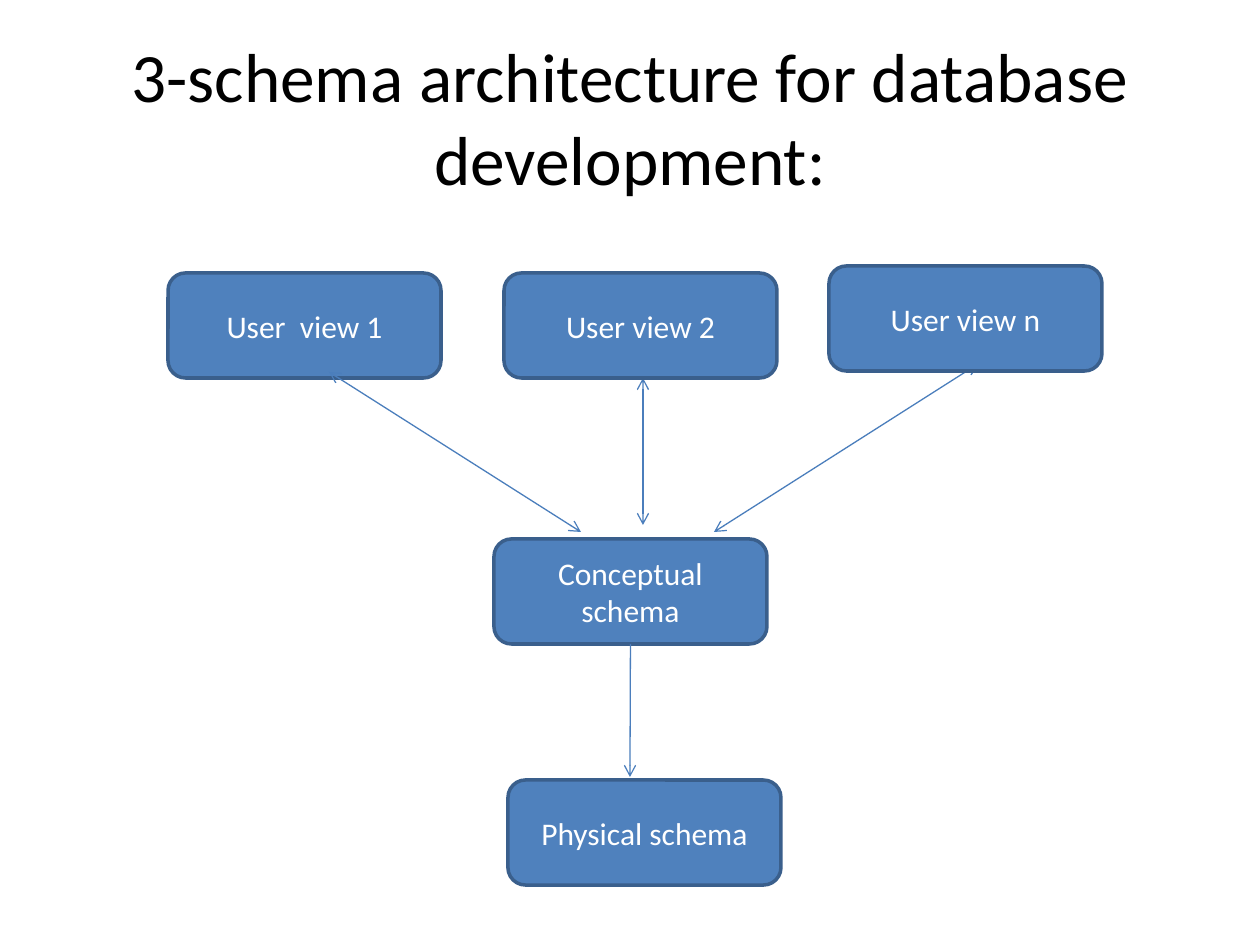
from dataclasses import dataclass

from lxml import etree
from pptx import Presentation
from pptx.dml.color import RGBColor
from pptx.enum.shapes import MSO_CONNECTOR, MSO_SHAPE
from pptx.enum.text import MSO_ANCHOR, PP_ALIGN
from pptx.oxml.ns import qn
from pptx.util import Pt

STRAIGHT = MSO_CONNECTOR.STRAIGHT
ROUNDED = MSO_SHAPE.ROUNDED_RECTANGLE
MIDDLE = MSO_ANCHOR.MIDDLE
CENTER = PP_ALIGN.CENTER
BOTTOM_SIDE = 2
TITLE_ONLY = 5

EMU_PER_PX = 914400 // 126
BOX_WIDTH, BOX_HEIGHT = 273, 105


@dataclass(frozen=True)
class Theme:
    font: str = "Calibri"
    title_size: float = 39.6
    box_size: float = 18
    title_color: str = "000000"
    box_text: str = "FFFFFF"
    box_fill: str = "4F81BD"
    box_line: str = "3A5F8C"
    arrow: str = "4B7EBC"
    box_line_width: float = 2
    arrow_width: float = 0.75


THEME = Theme()


def px(*lengths):
    return [length * EMU_PER_PX for length in lengths]


def color(value):
    return RGBColor.from_string(value)


def set_text(shape, text, size, text_color):
    frame = shape.text_frame
    frame.text = text
    frame.word_wrap = True
    frame.vertical_anchor = MIDDLE
    para = frame.paragraphs[0]
    para.alignment = CENTER
    font = para.runs[0].font
    font.name = THEME.font
    font.size = Pt(size)
    font.color.rgb = color(text_color)


def add_title(slide, text):
    title = slide.shapes.title
    title.left, title.top, title.width, title.height = px(63, 38, 1134, 157)
    set_text(title, text, THEME.title_size, THEME.title_color)


def add_box(slide, text, left, top):
    box = slide.shapes.add_shape(ROUNDED, *px(left, top, BOX_WIDTH, BOX_HEIGHT))
    box.shadow.inherit = False
    box.fill.solid()
    box.fill.fore_color.rgb = color(THEME.box_fill)
    box.line.color.rgb = color(THEME.box_line)
    box.line.width = Pt(THEME.box_line_width)
    set_text(box, text, THEME.box_size, THEME.box_text)
    return box


def add_arrow(slide, start, end, both_ways=True):
    arrow = slide.shapes.add_connector(STRAIGHT, *px(*start, *end))
    arrow.line.color.rgb = color(THEME.arrow)
    arrow.line.width = Pt(THEME.arrow_width)
    line = arrow.line._get_or_add_ln()
    for tag in ("a:headEnd", "a:tailEnd") if both_ways else ("a:tailEnd",):
        etree.SubElement(line, qn(tag), type="arrow")
    etree.SubElement(arrow._element.spPr, qn("a:effectLst"))
    return arrow


def main():
    deck = Presentation()
    deck.slide_width, deck.slide_height = px(1260, 945)
    slide = deck.slides.add_slide(deck.slide_layouts[TITLE_ONLY])
    add_title(slide, "3-schema architecture for database development:")

    add_box(slide, "User  view 1", 168, 273)
    conceptual = add_box(slide, "Conceptual schema", 494, 539)

    # The last user view is drawn over the end of its arrow.
    for start, end in (
        ((643, 378), (643, 525)),
        ((329, 372), (581, 532)),
        ((978, 364), (714, 532)),
    ):
        add_arrow(slide, start, end)
    to_physical = add_arrow(slide, (630, 644), (630, 777), both_ways=False)
    to_physical.begin_connect(conceptual, BOTTOM_SIDE)

    add_box(slide, "User view 2", 504, 273)
    add_box(slide, "User view n", 829, 266)
    add_box(slide, "Physical schema", 508, 780)
    deck.save("out.pptx")


if __name__ == "__main__":
    main()
